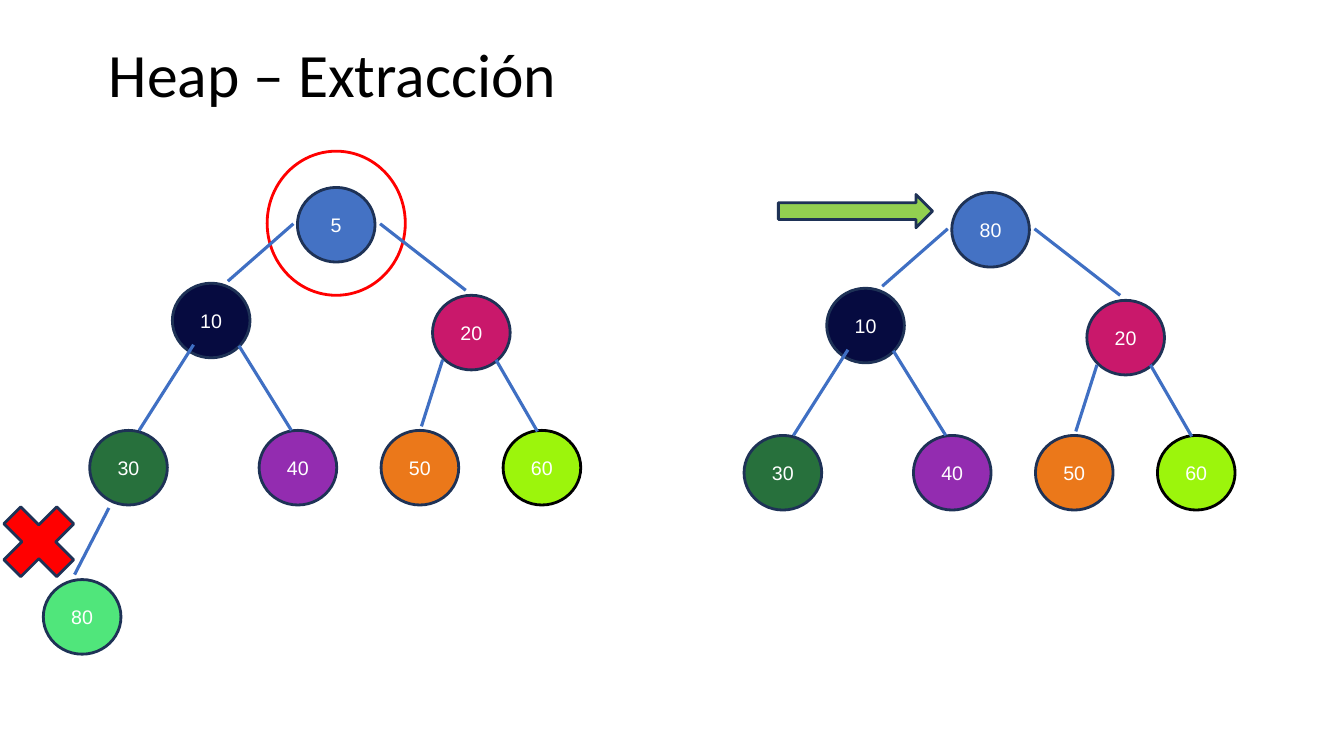
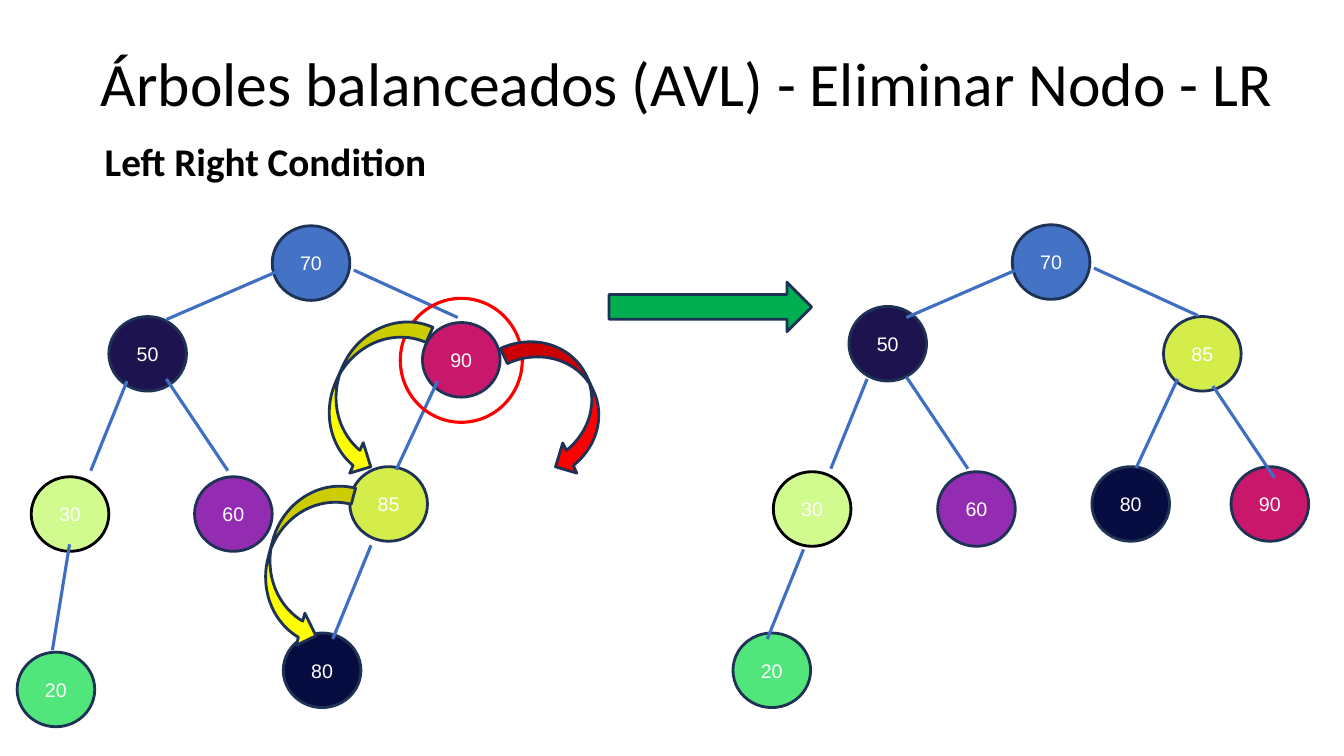
from dataclasses import dataclass

from lxml import etree
from pptx import Presentation
from pptx.dml.color import RGBColor
from pptx.enum.shapes import MSO_CONNECTOR, MSO_SHAPE
from pptx.enum.text import MSO_ANCHOR, PP_ALIGN
from pptx.oxml.ns import qn
from pptx.util import Inches, Pt

LINE = MSO_CONNECTOR.STRAIGHT
NODE = MSO_SHAPE.FLOWCHART_CONNECTOR
RING = MSO_SHAPE.OVAL
CROSS = MSO_SHAPE.MATH_MULTIPLY
ARROW = MSO_SHAPE.RIGHT_ARROW
BEND_UP = MSO_SHAPE.CURVED_UP_ARROW
BEND_DOWN = MSO_SHAPE.CURVED_DOWN_ARROW
MIDDLE, TOP = MSO_ANCHOR.MIDDLE, MSO_ANCHOR.TOP
CENTER = PP_ALIGN.CENTER


@dataclass(frozen=True)
class Theme:
    black: str = "000000"
    white: str = "FFFFFF"
    edge: str = "3F6FC3"
    border: str = "1E3256"
    red: str = "FF0000"
    yellow: str = "FFFF00"
    leaf: str = "92D050"
    green: str = "00B050"
    blue: str = "4472C4"
    navy: str = "060B40"
    indigo: str = "1D144F"
    pink: str = "C9186B"
    purple: str = "932CB0"
    forest: str = "27703C"
    orange: str = "EB781A"
    mint: str = "50E67B"
    lime: str = "9CF50C"
    lemon: str = "D5ED4A"
    head: str = "Calibri"
    body: str = "Arial"
    title: float = 44
    sub: float = 28
    label: float = 14
    thin: float = 2
    thick: float = 2.25


T = Theme()
SIZE = (13.33, 7.5)
DISC = (0.77, 0.74)
PALE = 46  # opacity in percent

# Nodes: label, left, top, fill, and optionally border and opacity.
# Edges: x1, y1, x2, y2.
HEAP = [
    ("20", 4.29, 2.93, T.pink),
    ("10", 1.71, 2.81, T.navy),
    ("40", 2.57, 4.27, T.purple),
    ("30", 0.89, 4.27, T.forest),
    ("50", 3.78, 4.27, T.orange),
    ("60", 4.99, 4.27, T.lime, T.black),
]
HEAP_EDGES = [
    (2.26, 2.79, 2.91, 2.22),
    (3.77, 2.22, 4.62, 2.88),
    (1.92, 3.42, 1.38, 4.27),
    (2.37, 3.43, 2.89, 4.27),
    (4.39, 3.57, 4.18, 4.23),
    (4.92, 3.57, 5.33, 4.28),
]
ROOT = (2.95, 1.86, T.blue)
LAST = ("80", 0.43, 5.75, T.mint)
LAST_EDGE = (1.08, 5.04, 0.74, 5.7)
HEAP_SHIFT = (6.49, 0.05)

BEFORE = [
    ("70", 2.7, 2.24, T.blue),
    ("50", 1.08, 3.14, T.indigo),
    ("90", 4.19, 3.2, T.pink),
    ("30", 0.31, 4.73, T.lime, T.black, PALE),
    ("60", 1.93, 4.73, T.purple),
    ("85", 3.47, 4.63, T.lemon),
    ("20", 0.17, 6.47, T.mint),
    ("80", 2.81, 6.28, T.navy),
]
AFTER = [
    ("70", 10.04, 2.23, T.blue),
    ("50", 8.42, 3.04, T.indigo),
    ("85", 11.54, 3.14, T.lemon),
    ("30", 7.67, 4.68, T.lime, T.black, PALE),
    ("60", 9.3, 4.68, T.purple),
    ("80", 10.83, 4.63, T.navy),
    ("90", 12.21, 4.63, T.pink),
    ("20", 7.27, 6.28, T.mint),
]
AVL_EDGES = [
    (2.78, 2.68, 1.65, 3.17),
    (3.51, 2.68, 4.54, 3.15),
    (1.26, 3.78, 0.9, 4.67),
    (1.65, 3.76, 2.26, 4.67),
    (4.34, 3.78, 3.93, 4.66),
]
AVL_SHIFT = (7.34, -0.02)
BEFORE_EDGES = [(0.69, 5.4, 0.52, 6.45), (3.68, 5.41, 3.3, 6.34)]
AFTER_EDGES = [(7.97, 5.45, 7.61, 6.34), (12.03, 3.83, 12.64, 4.74)]

# Marks: kind, box, fill, turn in degrees.
HEAP_MARKS = [
    (CROSS, (-0.12, 4.87, 1.01, 1.01), T.red, 0),
    (ARROW, (7.72, 1.93, 1.53, 0.33), T.leaf, 0),
]
AVL_MARKS = [
    (ARROW, (6.04, 2.8, 2.01, 0.49), T.green, 0),
    (BEND_UP, (2.81, 3.55, 1.68, 0.66), T.yellow, 114),
    (BEND_UP, (2.15, 5.24, 1.68, 0.66), T.yellow, 105),
    (BEND_DOWN, (4.84, 3.65, 1.46, 0.66), T.red, 65),
]


def rgb(color):
    return RGBColor.from_string(color)


def inches(box):
    return [Inches(n) for n in box]


def style(para, font, size, color, bold=False):
    for run in para.runs:
        face = run.font
        face.name, face.size, face.bold = font, Pt(size), bold
        face.color.rgb = rgb(color)


def shape(slide, kind, box, fill, line=T.border, width=T.thin):
    item = slide.shapes.add_shape(kind, *inches(box))
    item.shadow.inherit = False
    if fill:
        item.fill.solid()
        item.fill.fore_color.rgb = rgb(fill)
    else:
        item.fill.background()
    item.line.color.rgb = rgb(line)
    item.line.width = Pt(width)
    return item


def fade(item, share):
    """Set the opacity of a solid fill, in percent."""
    color = item.fill._xPr.find(qn("a:solidFill"))[0]
    etree.SubElement(color, qn("a:alpha")).set("val", str(share * 1000))


def node(slide, label, left, top, fill, line=T.border, share=100):
    disc = shape(slide, NODE, (left, top, *DISC), fill, line)
    if share < 100:
        fade(disc, share)
    frame = disc.text_frame
    frame.margin_left = frame.margin_right = 0
    frame.vertical_anchor = MIDDLE
    frame.text = label
    para = frame.paragraphs[0]
    para.alignment = CENTER
    style(para, T.body, T.label, T.white)


def edge(slide, ends):
    line = slide.shapes.add_connector(LINE, *inches(ends))
    line.line.color.rgb = rgb(T.edge)
    line.line.width = Pt(T.thick)
    etree.SubElement(line._element.spPr, qn("a:effectLst"))


def move(edges, shift):
    dx, dy = shift
    return [(a + dx, b + dy, c + dx, d + dy) for a, b, c, d in edges]


def tree(slide, nodes, edges):
    for item in nodes:
        node(slide, *item)
    for ends in edges:
        edge(slide, ends)


def marks(slide, items):
    for kind, box, fill, turn in items:
        shape(slide, kind, box, fill).rotation = turn


def text(slide, box, words, size, bold=False, anchor=TOP, space=1.0):
    frame = slide.shapes.add_textbox(*inches(box)).text_frame
    frame.word_wrap = True
    frame.vertical_anchor = anchor
    frame.text = words
    para = frame.paragraphs[0]
    para.line_spacing = space
    style(para, T.head, size, T.black, bold)


def page(deck, title, box):
    slide = deck.slides.add_slide(deck.slide_layouts[6])
    text(slide, box, title, T.title, anchor=MIDDLE, space=0.9)
    return slide


def heap(deck):
    slide = page(deck, "Heap – Extracción", (0.98, 0.04, 11.5, 1.45))
    shape(slide, RING, (2.65, 1.5, 1.37, 1.43), T.white, T.red)
    tree(slide, HEAP + [("5", *ROOT), LAST], HEAP_EDGES + [LAST_EDGE])
    dx, dy = HEAP_SHIFT
    nodes = [(label, x + dx, y + dy, *look)
             for label, x, y, *look in HEAP + [("80", *ROOT)]]
    tree(slide, nodes, move(HEAP_EDGES, HEAP_SHIFT))
    marks(slide, HEAP_MARKS)


def avl(deck):
    slide = page(deck, "Árboles balanceados (AVL) - Eliminar Nodo - LR",
                 (0.9, 0.13, 12.07, 1.45))
    text(slide, (0.94, 1.31, 6.39, 0.57), "Left Right Condition",
         T.sub, bold=True)
    tree(slide, BEFORE, AVL_EDGES + BEFORE_EDGES)
    tree(slide, AFTER, move(AVL_EDGES, AVL_SHIFT) + AFTER_EDGES)
    shape(slide, RING, (3.97, 2.96, 1.21, 1.23), None, T.red, T.thick)
    marks(slide, AVL_MARKS)


def main():
    deck = Presentation()
    deck.slide_width, deck.slide_height = inches(SIZE)
    heap(deck)
    avl(deck)
    deck.save("out.pptx")


if __name__ == "__main__":
    main()
